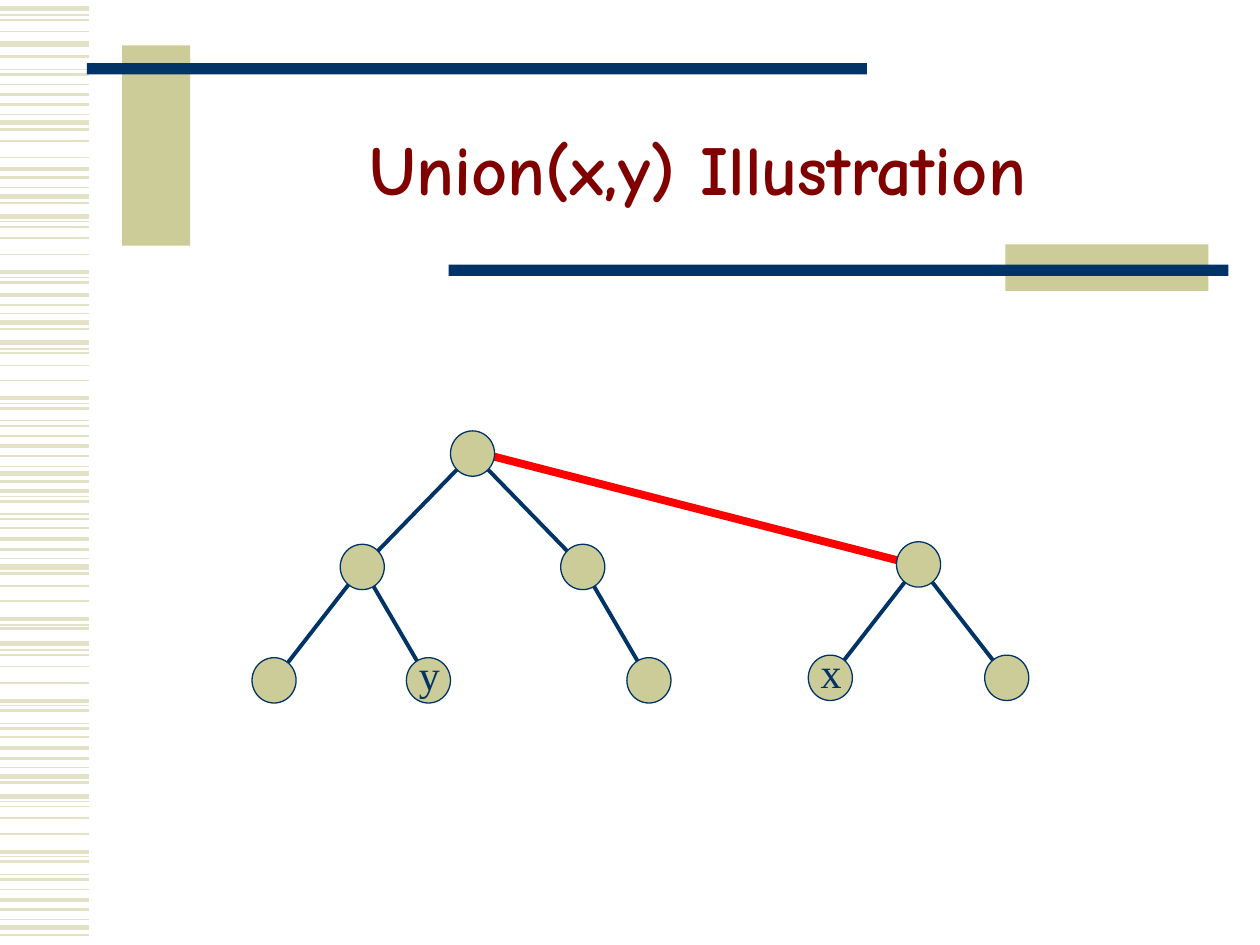
from lxml import etree
from pptx import Presentation
from pptx import util as u
from pptx.dml.color import RGBColor
from pptx.enum import shapes, text
from pptx.oxml.ns import qn

COLORS = {"stripe": "E3E2C7", "khaki": "CCCC99", "navy": "003366",
          "red": "FF0000", "maroon": "800000"}

presentation = Presentation()
presentation.slide_width, presentation.slide_height = u.Inches(10), u.Inches(7.5)
slide = presentation.slides.add_slide(presentation.slide_layouts[5])


def add_line(start, end, color, weight):
    points = [u.Inches(value) for value in (*start, *end)]
    line = slide.shapes.add_connector(shapes.MSO_CONNECTOR.STRAIGHT, *points)
    line.line.color.rgb = RGBColor.from_string(COLORS[color])
    line.line.width = u.Pt(weight)
    etree.SubElement(line._element.spPr, qn("a:effectLst"))


def add_filled(kind, box, color, outline=None):
    shape = slide.shapes.add_shape(kind, *[u.Inches(value) for value in box])
    shape.shadow.inherit = False
    shape.fill.solid()
    shape.fill.fore_color.rgb = RGBColor.from_string(COLORS[color])
    if outline:
        shape.line.color.rgb = RGBColor.from_string(COLORS[outline])
        shape.line.width = u.Pt(0.75)
    else:
        shape.line.fill.background()


# Striped left margin: heights of the stripes for each line weight
MARGIN = 0.71
STRIPES = {
    3: [0.07, 0.35, 0.97, 1.56, 1.72, 2.56, 2.72, 3.76, 4.5, 5.11, 6.16, 6.32, 7.36],
    2.25: [0.75, 1.34, 2.16, 2.34, 3.16, 3.54, 3.9, 4.28, 4.91, 5.56, 5.94, 6.76, 7.14],
    1.5: [0.45, 0.59, 0.83, 1.03, 1.41, 1.61, 2.24, 2.42, 2.61, 3.24, 3.38, 3.62, 3.82,
          3.98, 4.12, 4.36, 4.55, 4.99, 5.64, 5.78, 6.02, 6.21, 6.84, 6.98, 7.22, 7.42],
    1: [0.16, 0.25, 0.67, 1.12, 1.25, 1.8, 1.89, 2.02, 2.8, 2.9, 3.02, 3.46,
        4.19, 4.65, 4.77, 5.2, 5.29, 5.42, 5.85, 6.4, 6.49, 6.62, 7.06],
    0.75: [0.12, 0.55, 0.91, 1.49, 1.76, 2.2, 2.49, 2.77, 3.2, 3.34, 3.7, 3.94,
           4.08, 4.43, 4.96, 5.16, 5.6, 5.74, 6.09, 6.36, 6.8, 6.94, 7.3],
}
for weight, heights in STRIPES.items():
    for y in heights:
        add_line((0, y), (MARGIN, y), "stripe", weight)

# Khaki blocks and navy bars around the title
for box, color in [((0.97, 0.36, 0.54, 1.59), "khaki"), ((0.69, 0.5, 6.19, 0.09), "navy"),
                   ((7.98, 1.94, 1.61, 0.37), "khaki"), ((3.56, 2.1, 6.19, 0.09), "navy")]:
    add_filled(shapes.MSO_SHAPE.RECTANGLE, box, color)

# Title
title = slide.shapes.title
title.left, title.top = u.Inches(1.58), u.Inches(0.67)
title.width, title.height = u.Inches(7.92), u.Inches(1.42)
title.text_frame.vertical_anchor = text.MSO_ANCHOR.MIDDLE
title.text_frame.word_wrap = True
paragraph = title.text_frame.paragraphs[0]
paragraph.alignment = text.PP_ALIGN.CENTER
paragraph.line_spacing = 0.85
run = paragraph.add_run()
run.text = "Union(x,y) Illustration"
run.font.name, run.font.size, run.font.bold = "Comic Neue", u.Pt(40), True
run.font.color.rgb = RGBColor.from_string(COLORS["maroon"])

# Both trees: root position, nodes as (column, row) from the root, edges, labels
COLUMN, ROW = 0.175, 0.9
NODE_WIDTH, NODE_HEIGHT = 0.35, 0.36
TREES = [
    ((3.75, 3.6), [(0, 0), (-5, 1), (5, 1), (-9, 2), (-2, 2), (8, 2)],
     [(0, 1), (0, 2), (1, 3), (1, 4), (2, 5)], {4: "y"}),
    ((7.29, 4.48), [(0, 0), (-4, 1), (4, 1)], [(0, 1), (0, 2)], {1: "x"}),
]

# Link made by the union
add_line((3.75, 3.58), (7.33, 4.5), "red", 4.5)

for (root_x, root_y), nodes, edges, labels in TREES:
    centers = [(root_x + column * COLUMN, root_y + row * ROW) for column, row in nodes]
    for parent, child in edges:
        add_line(centers[parent], centers[child], "navy", 2.25)
    for index, (x, y) in enumerate(centers):
        left, top = x - NODE_WIDTH / 2, y - NODE_HEIGHT / 2
        add_filled(shapes.MSO_SHAPE.OVAL, (left, top, NODE_WIDTH, NODE_HEIGHT), "khaki", "navy")
        if index in labels:
            label = slide.shapes.add_textbox(u.Inches(left), u.Inches(top - 0.12),
                                             u.Inches(0.42), u.Inches(0.5))
            label.text_frame.word_wrap = True
            run = label.text_frame.paragraphs[0].add_run()
            run.text = labels[index]
            run.font.name, run.font.size = "Times New Roman", u.Pt(24)
            run.font.color.rgb = RGBColor.from_string(COLORS["navy"])

presentation.save("out.pptx")
